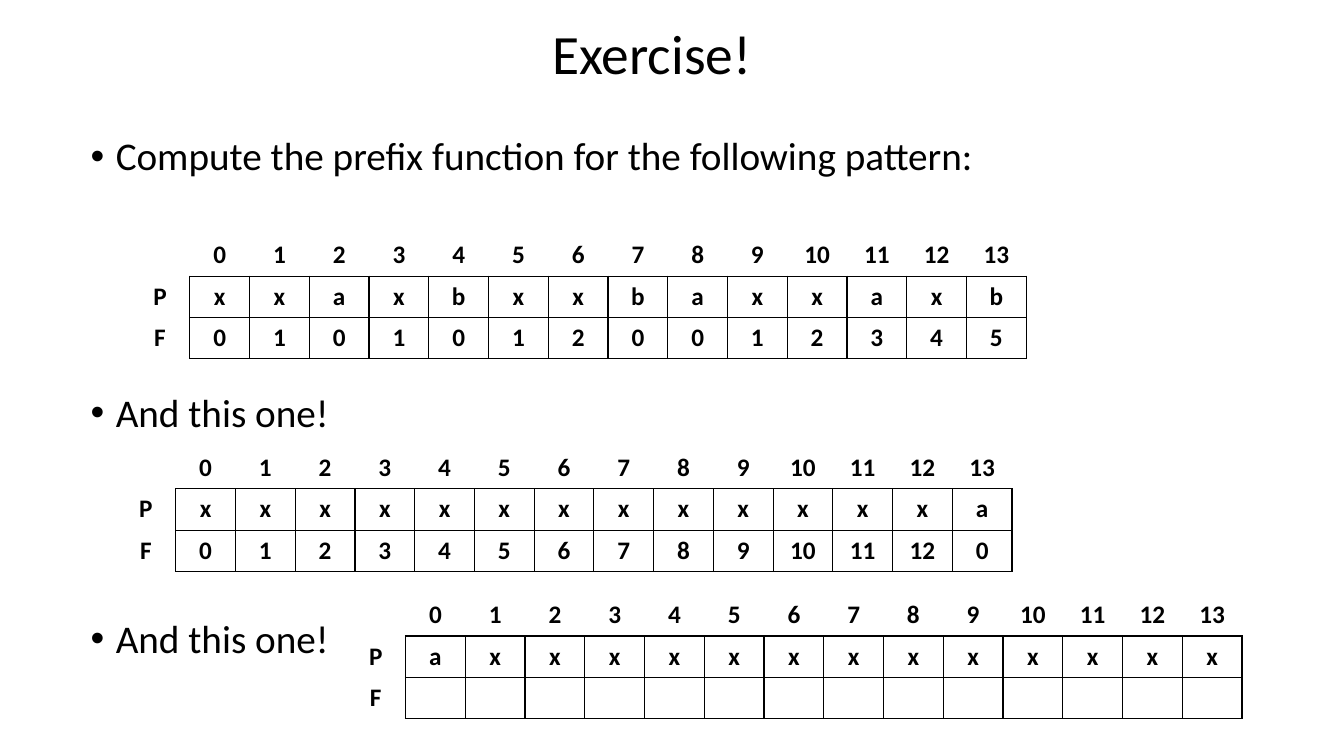
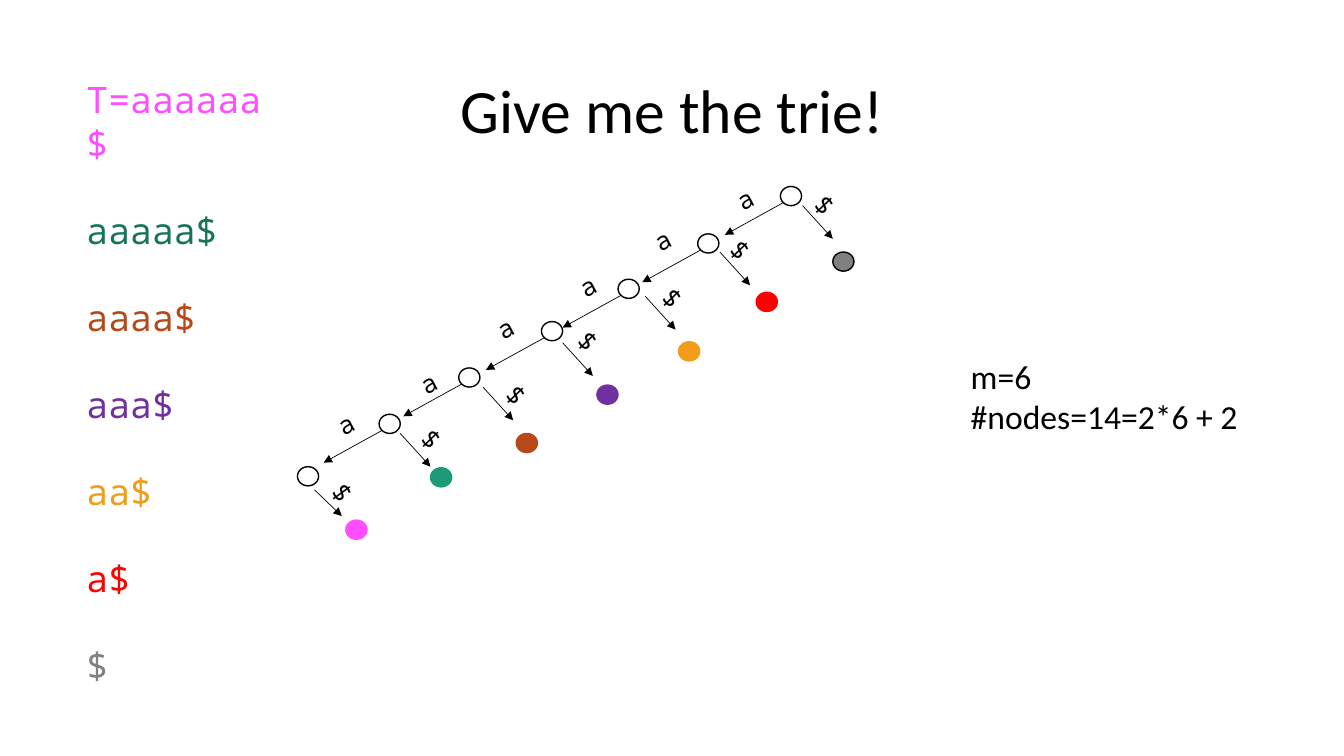
from dataclasses import dataclass
from typing import NamedTuple, Optional

from lxml.etree import SubElement
from pptx import Presentation
from pptx.dml.color import RGBColor
from pptx.enum.shapes import MSO_CONNECTOR as Connector, MSO_SHAPE as Shape
from pptx.enum.text import MSO_ANCHOR as Anchor, PP_ALIGN as Align
from pptx.oxml.ns import qn
from pptx.slide import Slide
from pptx.table import _Cell as Cell
from pptx.util import Emu, Pt

EMU_PER_PX = 9144  # 100 px to the inch
NO_GRID_STYLE = "{2D5ABB26-0587-4C30-8999-92F81FD0307C}"


@dataclass(frozen=True)
class Theme:
    sans: str = "Calibri"
    mono: str = "Noto Sans Mono"
    black: str = "000000"
    pink: str = "FF4EFF"
    green: str = "1D9A78"
    dark_green: str = "16745A"
    rust: str = "B74919"
    purple: str = "7030A0"
    orange: str = "F19D19"
    red: str = "FF0000"
    gray: str = "808080"
    title_size: float = 44
    small_title_size: float = 39.6
    body_size: float = 28
    suffix_size: float = 26
    note_size: float = 24
    label_size: float = 18
    outline: float = 1
    arrow: float = 0.5


THEME = Theme()


class Point(NamedTuple):
    x: int
    y: int

    def shifted(self, dx: int, dy: int) -> "Point":
        return Point(self.x + dx, self.y + dy)


class Box(NamedTuple):
    x: int
    y: int
    width: int
    height: int


class Line(NamedTuple):
    text: str
    color: str = THEME.black
    space_before: float = 0


@dataclass(frozen=True)
class TextStyle:
    size: float
    font: str = THEME.sans
    align: Align = Align.LEFT
    line_spacing: Optional[float] = None
    anchor: Anchor = Anchor.TOP
    bullet: bool = False


@dataclass(frozen=True)
class PrefixTable:
    corner: Point
    pattern: str
    values: tuple[int, ...] = ()


@dataclass(frozen=True)
class Level:
    """One inner trie node with its '$' leaf and its 'a' edge, if any."""
    node: Point
    leaf: Point
    leaf_color: str
    leaf_edge: Point
    leaf_label: Point
    child_label: Optional[Point] = None
    leaf_outline: Optional[str] = None
    leaf_reach: Point = Point(30, 33)
    leaf_label_angle: float = 46.4


NODE_WIDTH, NODE_HEIGHT = 21, 19
CHILD_LABEL_ANGLE = 332.1

TABLES = (
    PrefixTable(Point(129, 233), "xxaxbxxbaxxaxb",
                (0, 1, 0, 1, 0, 1, 2, 0, 0, 1, 2, 3, 4, 5)),
    PrefixTable(Point(115, 444), "x" * 13 + "a", (*range(13), 0)),
    PrefixTable(Point(343, 590), "a" + "x" * 13),
)

EXERCISES = (
    Line("Compute the prefix function for the following pattern:"),
    Line("And this one!", space_before=153),
    Line("And this one!", space_before=131),
)

SUFFIX_GAP = 31
SUFFIXES = (
    Line("T=aaaaaa$", THEME.pink),
    Line("aaaaa$", THEME.dark_green, SUFFIX_GAP),
    Line("aaaa$", THEME.rust, SUFFIX_GAP),
    Line("aaa$", THEME.purple, SUFFIX_GAP),
    Line("aa$", THEME.orange, SUFFIX_GAP),
    Line("a$", THEME.red, SUFFIX_GAP),
    Line("$", THEME.gray, SUFFIX_GAP),
)

LEVELS = (
    Level(Point(774, 185), Point(826, 250), THEME.gray, Point(796, 204),
          Point(802, 181), Point(722, 179), leaf_outline=THEME.black),
    Level(Point(692, 232), Point(750, 290), THEME.red, Point(714, 250),
          Point(718, 225), Point(640, 220)),
    Level(Point(613, 277), Point(673, 339), THEME.orange, Point(640, 294),
          Point(651, 273), Point(566, 266)),
    Level(Point(537, 319), Point(592, 382), THEME.purple, Point(558, 340),
          Point(567, 316), Point(484, 307)),
    Level(Point(455, 365), Point(512, 430), THEME.rust, Point(479, 384),
          Point(496, 369), Point(408, 362)),
    Level(Point(376, 411), Point(427, 464), THEME.green, Point(397, 430),
          Point(412, 413), Point(326, 403)),
    Level(Point(295, 463), Point(343, 516), THEME.pink, Point(312, 486),
          Point(324, 466), leaf_reach=Point(27, 26), leaf_label_angle=54),
)


def px(length: int) -> Emu:
    return Emu(length * EMU_PER_PX)


def rgb(color: str) -> RGBColor:
    return RGBColor.from_string(color)


# Text
def add_text(slide: Slide, box: Box, lines: tuple[Line, ...],
             style: TextStyle, angle: float = 0) -> None:
    shape = slide.shapes.add_textbox(*map(px, box))
    shape.rotation = angle
    frame = shape.text_frame
    frame.word_wrap = True
    frame.vertical_anchor = style.anchor
    for index, line in enumerate(lines):
        paragraph = frame.add_paragraph() if index else frame.paragraphs[0]
        paragraph.text = line.text
        paragraph.alignment = style.align
        paragraph.line_spacing = style.line_spacing
        if line.space_before:
            paragraph.space_before = Pt(line.space_before)
        if style.bullet:
            properties = paragraph._p.get_or_add_pPr()
            properties.set("marL", str(px(25)))
            properties.set("indent", str(px(-25)))
            SubElement(properties, qn("a:buFont"), typeface="Arial")
            SubElement(properties, qn("a:buChar"), char="•")
        for run in paragraph.runs:
            run.font.name = style.font
            run.font.size = Pt(style.size)
            run.font.color.rgb = rgb(line.color)


def add_title(slide: Slide, box: Box, text: str, size: float) -> None:
    style = TextStyle(size, align=Align.CENTER, line_spacing=0.9,
                      anchor=Anchor.MIDDLE)
    add_text(slide, box, (Line(text),), style)


# Prefix tables
def set_borders(cell: Cell, sides: str) -> None:
    properties = cell._tc.get_or_add_tcPr()
    for side in "LRTB":
        visible = side in sides
        width = Pt(THEME.outline) if visible else 0
        border = SubElement(properties, qn(f"a:ln{side}"), w=str(width))
        fill = SubElement(border, qn("a:solidFill" if visible else "a:noFill"))
        if visible:
            SubElement(fill, qn("a:srgbClr"), val=THEME.black)


def borders_for(row: int, column: int) -> str:
    if row and column:
        return "LRTB"
    if row:
        return "R"
    return "B" if column else ""


def add_prefix_table(slide: Slide, data: PrefixTable) -> None:
    count = len(data.pattern)
    values = data.values or ("",) * count
    rows = (("", *range(count)), ("P", *data.pattern), ("F", *values))
    frame = slide.shapes.add_table(
        len(rows), count + 1, *map(px, (*data.corner, 889, 123)))
    table = frame.table
    table.first_row = table.horz_banding = False
    table._tbl.tblPr.find(qn("a:tableStyleId")).text = NO_GRID_STYLE
    for column in table.columns:
        column.width = px(889) // (count + 1)
    for row_index, row in enumerate(rows):
        table.rows[row_index].height = px(41)
        for column_index, value in enumerate(row):
            cell = table.cell(row_index, column_index)
            set_borders(cell, borders_for(row_index, column_index))
            cell.fill.background()
            paragraph = cell.text_frame.paragraphs[0]
            paragraph.text = str(value)
            paragraph.alignment = Align.CENTER
            for run in paragraph.runs:
                run.font.name = THEME.sans
                run.font.size = Pt(THEME.label_size)
                run.font.bold = True
                run.font.color.rgb = rgb(THEME.black)


# Trie parts
def add_node(slide: Slide, corner: Point, outline: str,
             fill: Optional[str] = None) -> None:
    shape = slide.shapes.add_shape(
        Shape.OVAL, *map(px, (*corner, NODE_WIDTH, NODE_HEIGHT)))
    shape.shadow.inherit = False
    shape.line.color.rgb = rgb(outline)
    shape.line.width = Pt(THEME.outline)
    if fill:
        shape.fill.solid()
        shape.fill.fore_color.rgb = rgb(fill)
    else:
        shape.fill.background()


def add_arrow(slide: Slide, start: Point, end: Point) -> None:
    arrow = slide.shapes.add_connector(
        Connector.STRAIGHT, *map(px, (*start, *end)))
    arrow.line.color.rgb = rgb(THEME.black)
    arrow.line.width = Pt(THEME.arrow)
    SubElement(arrow.line._get_or_add_ln(), qn("a:tailEnd"), type="triangle")
    SubElement(arrow._element.spPr, qn("a:effectLst"))


def add_edge_label(slide: Slide, corner: Point, text: str,
                   angle: float) -> None:
    add_text(slide, Box(*corner, 27, 40), (Line(text),),
             TextStyle(THEME.label_size, THEME.mono), angle)


def add_level(slide: Slide, level: Level) -> None:
    add_node(slide, level.node, THEME.black)
    add_node(slide, level.leaf, level.leaf_outline or level.leaf_color,
             level.leaf_color)
    add_arrow(slide, level.leaf_edge,
              level.leaf_edge.shifted(*level.leaf_reach))
    add_edge_label(slide, level.leaf_label, "$", level.leaf_label_angle)
    if level.child_label:
        add_arrow(slide, level.node.shifted(3, 16),
                  level.node.shifted(-55, 48))
        add_edge_label(slide, level.child_label, "a", CHILD_LABEL_ANGLE)


# Slides
def build_exercise(slide: Slide) -> None:
    add_title(slide, Box(506, 22, 281, 68), "Exercise!",
              THEME.small_title_size)
    add_text(slide, Box(80, 131, 1160, 580), EXERCISES,
             TextStyle(THEME.body_size, line_spacing=0.9, bullet=True))
    for table in TABLES:
        add_prefix_table(slide, table)


def build_trie(slide: Slide) -> None:
    add_title(slide, Box(92, 40, 1150, 145), "Give me the trie!",
              THEME.title_size)
    add_text(slide, Box(76, 72, 200, 620), SUFFIXES,
             TextStyle(THEME.suffix_size, THEME.mono))
    for level in LEVELS:
        add_level(slide, level)
    add_text(slide, Box(953, 348, 337, 91),
             (Line("m=6"), Line("#nodes=14=2*6 + 2")),
             TextStyle(THEME.note_size))


def main() -> None:
    presentation = Presentation()
    presentation.slide_width = px(1333)
    presentation.slide_height = px(750)
    blank = presentation.slide_layouts[6]
    for build in (build_exercise, build_trie):
        build(presentation.slides.add_slide(blank))
    presentation.save("out.pptx")


if __name__ == "__main__":
    main()
